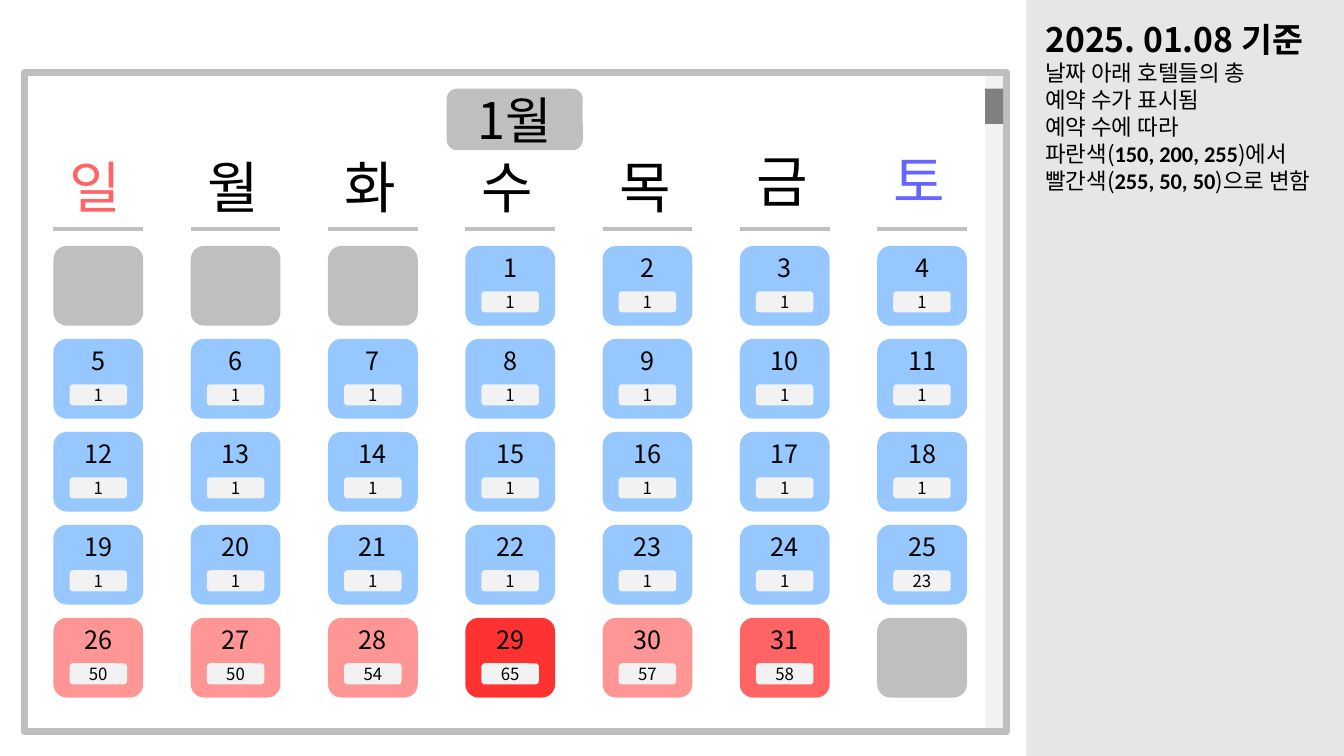
from lxml import etree
from pptx import Presentation, util as u
from pptx.dml.color import RGBColor
from pptx.enum import shapes, text
from pptx.oxml import ns

BLACK = RGBColor(0, 0, 0)
SILVER = RGBColor(0xBF, 0xBF, 0xBF)
PALE = RGBColor(0xF2, 0xF2, 0xF2)
PANEL = RGBColor(0xE7, 0xE6, 0xE6)
GREY = RGBColor(0x80, 0x80, 0x80)
SUNDAY = RGBColor(0xFF, 0x65, 0x65)
SATURDAY = RGBColor(0x65, 0x65, 0xFF)
BLUE = RGBColor(150, 200, 255)
LIGHT_RED = RGBColor(255, 150, 150)
MID_RED = RGBColor(255, 100, 100)
RED = RGBColor(255, 50, 50)

KOREAN, LATIN = "Noto Sans CJK KR", "Calibri"
MONTH = "1월"
WEEKDAYS = [("일", SUNDAY, 1.46), ("월", BLACK, 1.46), ("화", BLACK, 1.46),
            ("수", BLACK, 1.46), ("목", BLACK, 1.46), ("금", BLACK, 1.4),
            ("토", SATURDAY, 1.4)]
FIRST_COLUMN = 3
BOOKINGS = [1] * 24 + [23, 50, 50, 54, 65, 57, 58]
HEAT = [(65, RED), (58, MID_RED), (50, LIGHT_RED), (0, BLUE)]

HEADING = {"size": u.Pt(24), "bold": True}
PLAIN = {"size": u.Pt(16), "bold": False}
STRONG = {"size": u.Pt(16), "bold": True, "name": LATIN}
NOTES = [
    [("2025. 01.08 기준", HEADING)],
    [("날짜 아래 호텔들의 총", PLAIN)],
    [("예약 수가 표시됨", PLAIN)],
    [("예약 수에 따라", PLAIN)],
    [("파란색(", PLAIN), ("150, 200, 255", STRONG), (")에서", PLAIN)],
    [("빨간색(", PLAIN), ("255, 50, 50", STRONG), (")으로 변함", PLAIN)],
]

COLUMNS, ROWS = 7, 5
GRID_LEFT, GRID_TOP = 0.53, 2.44
COLUMN_STEP, ROW_STEP = (8.7 - GRID_LEFT) / (COLUMNS - 1), (6.13 - GRID_TOP) / (ROWS - 1)
TILE_W, TILE_H = 0.89, 0.79
COUNT_W, COUNT_H, COUNT_DROP = 0.57, 0.21, 0.45
LABEL_W, LABEL_H = 0.76, 0.77
RULE_TOP = 2.27
RECT = shapes.MSO_SHAPE.RECTANGLE
ROUND = shapes.MSO_SHAPE.ROUNDED_RECTANGLE

deck = Presentation()
deck.slide_width, deck.slide_height = u.Inches(13.33), u.Inches(7.5)
page = deck.slides.add_slide(deck.slide_layouts[6])


def inches(*lengths):
    return [u.Inches(length) for length in lengths]


def set_all(target, values):
    for name, value in values.items():
        setattr(target, name, value)


def add_span(para, words, style, color=BLACK):
    span = para.add_run()
    span.text = words
    set_all(span.font, {"name": KOREAN, **style})
    span.font.color.rgb = color
    east = etree.SubElement(span.font._element, ns.qn("a:ea"))
    east.set("typeface", KOREAN)


def add_block(kind, place, fill, words="", size=12, bottom=0):
    block = page.shapes.add_shape(kind, *inches(*place))
    block.shadow.inherit = False
    block.line.fill.background()
    if fill is None:
        block.fill.background()
    else:
        block.fill.solid()
        block.fill.fore_color.rgb = fill
    if words:
        set_all(block.text_frame, {
            "margin_left": 0, "margin_right": 0, "margin_top": 0,
            "margin_bottom": u.Inches(bottom),
            "vertical_anchor": text.MSO_ANCHOR.MIDDLE, "word_wrap": True})
        para = block.text_frame.paragraphs[0]
        para.alignment = text.PP_ALIGN.CENTER
        add_span(para, words, {"size": u.Pt(size)})
    return block


def add_label(place, lines, color=BLACK):
    box = page.shapes.add_textbox(*inches(*place))
    frame = box.text_frame
    set_all(frame, {"word_wrap": False,
                    "auto_size": text.MSO_AUTO_SIZE.SHAPE_TO_FIT_TEXT})
    for number, line in enumerate(lines):
        para = frame.add_paragraph() if number else frame.paragraphs[0]
        for words, style in line:
            add_span(para, words, style, color)


def add_rule(left):
    rule = page.shapes.add_connector(
        shapes.MSO_CONNECTOR.STRAIGHT,
        *inches(left, RULE_TOP, left + TILE_W, RULE_TOP))
    rule.line.color.rgb = SILVER
    rule.line.width = u.Pt(2.5)
    etree.SubElement(rule._element.spPr, ns.qn("a:effectLst"))


add_block(RECT, (9.77, 0.72, 0.22, 6.54), PALE)
window = add_block(RECT, (0.24, 0.72, 9.74, 6.54), None)
window.line.color.rgb = SILVER
window.line.width = u.Pt(5)

for column, (weekday, color, top) in enumerate(WEEKDAYS):
    left = GRID_LEFT + column * COLUMN_STEP
    add_label((left + (TILE_W - LABEL_W) / 2, top, LABEL_W, LABEL_H),
              [[(weekday, {"size": u.Pt(40)})]], color)
    add_rule(left)

for cell in range(COLUMNS * ROWS):
    row, column = divmod(cell, COLUMNS)
    left, top = GRID_LEFT + column * COLUMN_STEP, GRID_TOP + row * ROW_STEP
    tile = (left, top, TILE_W, TILE_H)
    day = cell - FIRST_COLUMN + 1
    if not 1 <= day <= len(BOOKINGS):
        add_block(ROUND, tile, SILVER)
        continue
    count = BOOKINGS[day - 1]
    fill = next(color for least, color in HEAT if count >= least)
    add_block(ROUND, tile, fill, str(day), 18, bottom=0.36)
    add_block(ROUND, (left + (TILE_W - COUNT_W) / 2, top + COUNT_DROP, COUNT_W, COUNT_H),
              PALE, str(count))

add_block(RECT, (10.18, 0, 3.15, 7.5), PANEL)
add_label((10.27, 0.14, 3, 1.85), NOTES)
add_block(ROUND, (4.43, 0.88, 1.35, 0.61), SILVER, MONTH, 36)
add_block(RECT, (9.77, 0.88, 0.18, 0.35), GREY)

deck.save("out.pptx")
